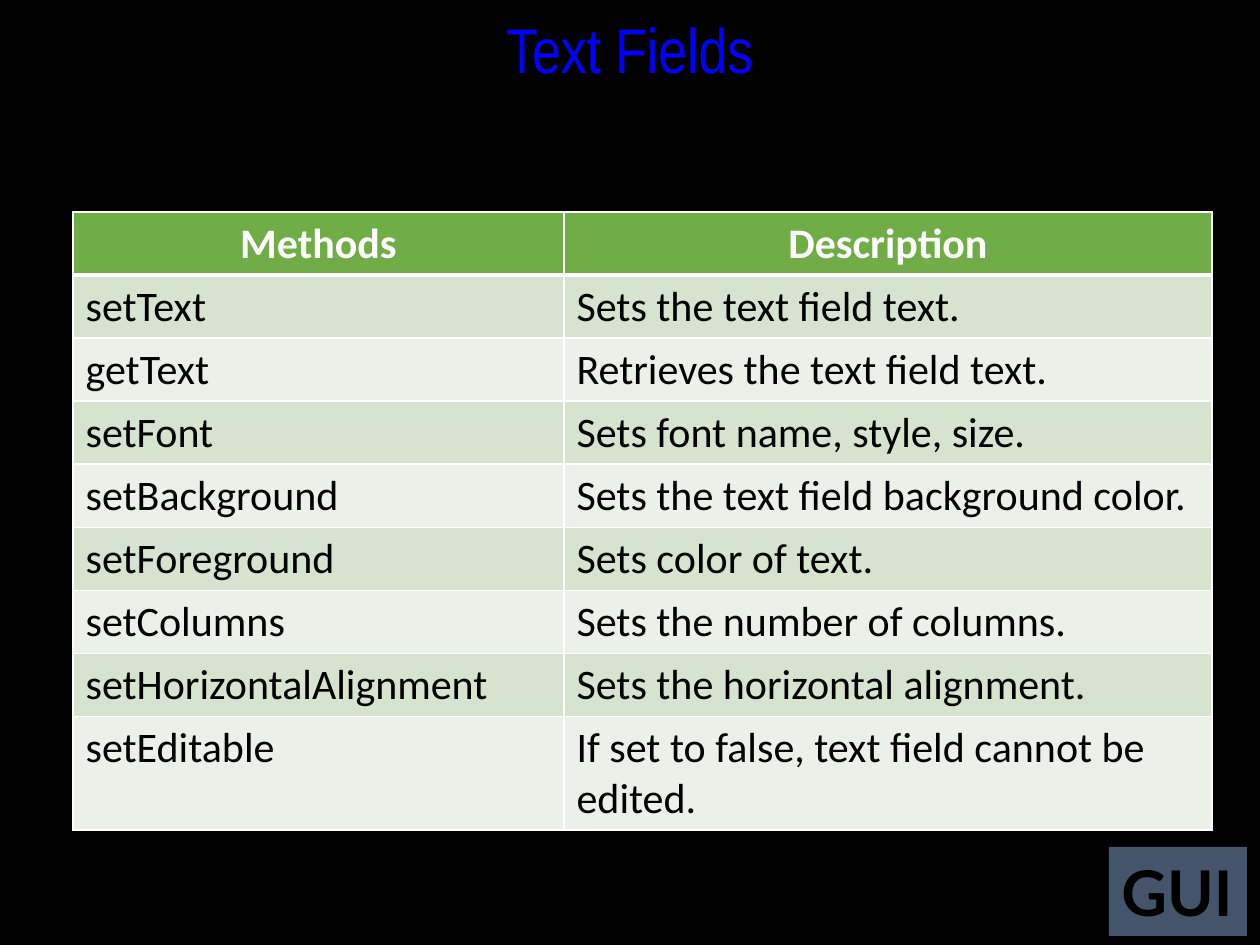
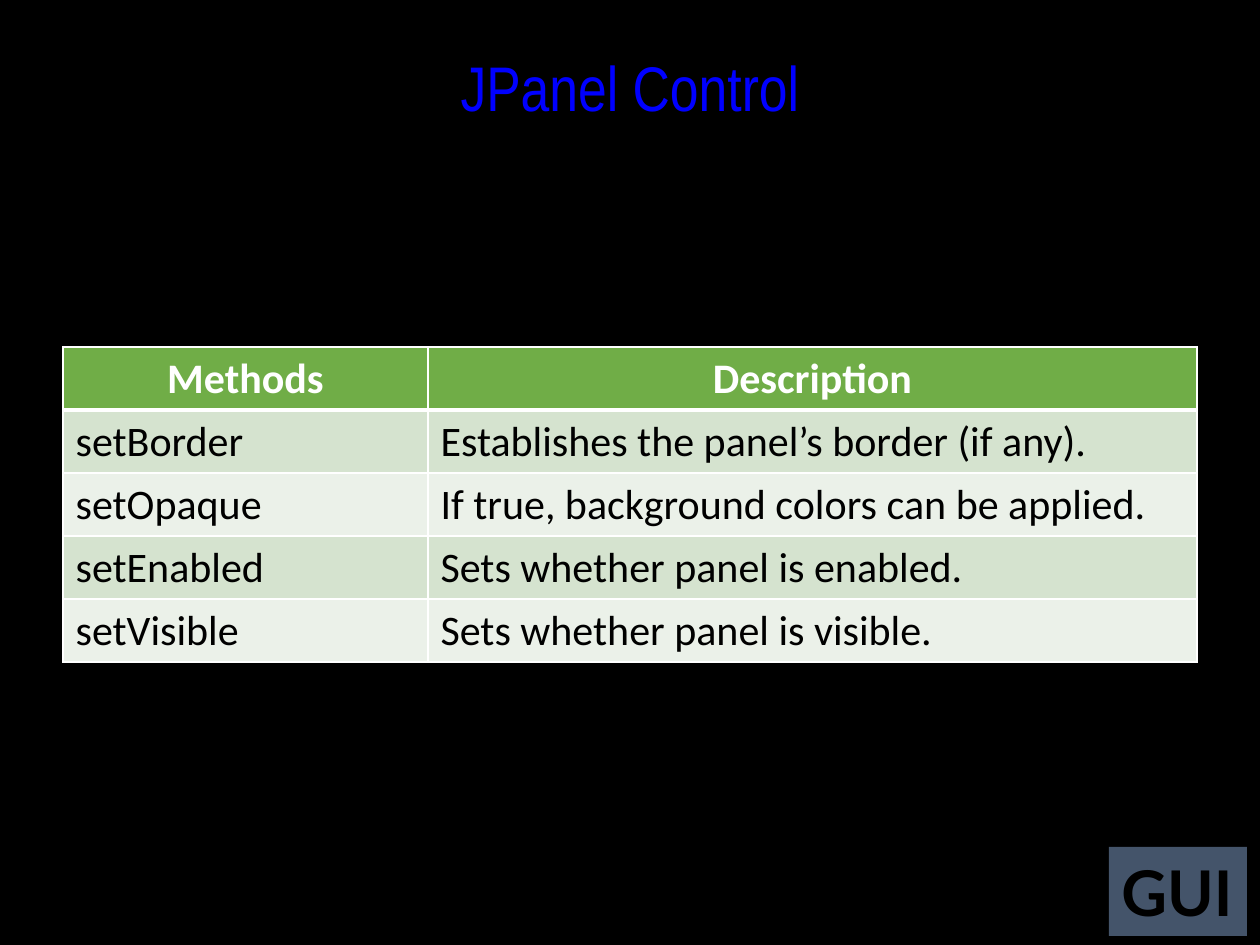
from lxml.etree import SubElement
from pptx import Presentation
from pptx.dml.color import RGBColor
from pptx.enum.shapes import MSO_SHAPE
from pptx.enum.text import MSO_ANCHOR, PP_ALIGN
from pptx.oxml.ns import qn
from pptx.util import Emu, Pt

COLORS = {
    "background": "000000",
    "badge": "44546A",
    "title": "0000FF",
    "outline": "FFFF00",
    "header": "70AD47",
    "odd": "D5E3CF",
    "even": "EBF1E9",
    "light": "FFFFFF",
    "dark": "000000",
}
EMU_PER_PX = 914400 / 126
ROW_HEIGHT = 63

TEXT_FIELD_METHODS = [
    ("setText", "Sets the text field text."),
    ("getText", "Retrieves the text field text."),
    ("setFont", "Sets font name, style, size."),
    ("setBackground", "Sets the text field background color."),
    ("setForeground", "Sets color of text."),
    ("setColumns", "Sets the number of columns."),
    ("setHorizontalAlignment", "Sets the horizontal alignment."),
    ("setEditable", "If set to false, text field cannot be edited."),
]
PANEL_METHODS = [
    ("setBorder", "Establishes the panel’s border (if any)."),
    ("setOpaque", "If true, background colors can be applied."),
    ("setEnabled", "Sets whether panel is enabled."),
    ("setVisible", "Sets whether panel is visible."),
]


def px(length):
    """Turn pixels into EMU."""
    return Emu(round(length * EMU_PER_PX))


def rgb(name):
    """Look up a named colour."""
    return RGBColor.from_string(COLORS[name])


def add_line(parent, tag, color, points):
    """Append a solid line element to a properties element."""
    line = SubElement(parent, qn(tag), w=str(Pt(points)))
    fill = SubElement(line, qn("a:solidFill"))
    SubElement(fill, qn("a:srgbClr"), val=COLORS[color])
    return line


def write(frame, text, *, font, size, color, bold=False, align=PP_ALIGN.LEFT, outline=None):
    """Write one formatted paragraph into a text frame."""
    para = frame.paragraphs[0]
    para.alignment = align
    span = para.add_run()
    span.text = text
    span.font.name = font
    span.font.size = Pt(size)
    span.font.bold = bold
    span.font.color.rgb = rgb(color)
    if outline:
        properties = span.font.fill and span._r.get_or_add_rPr()
        properties.insert(0, add_line(properties, "a:ln", outline, 0.75))


class MethodDeck:
    """Hold the deck style and the current slide."""

    def __init__(self):
        """Start an empty deck with the shared background."""
        self.deck = Presentation()
        self.deck.slide_width = px(1260)
        self.deck.slide_height = px(945)
        fill = self.deck.slide_master.background.fill
        fill.solid()
        fill.fore_color.rgb = rgb("background")
        self.page = None

    def add_page(self, title, title_top):
        """Start a slide with its badge and title."""
        self.page = self.deck.slides.add_slide(self.deck.slide_layouts[6])
        self.add_badge("GUI")
        self.add_title(title, title_top)

    def add_badge(self, text):
        """Add the corner badge."""
        box = self.page.shapes.add_shape(
            MSO_SHAPE.RECTANGLE, px(1109), px(847), px(138), px(89)
        )
        box.shadow.inherit = False
        box.fill.solid()
        box.fill.fore_color.rgb = rgb("badge")
        box.line.fill.background()
        box.text_frame.word_wrap = False
        box.text_frame.vertical_anchor = MSO_ANCHOR.TOP
        write(box.text_frame, text, font="Lato", size=36, color="dark", bold=True)

    def add_title(self, text, top):
        """Add the centred slide title."""
        box = self.page.shapes.add_textbox(px(126), px(top), px(1008), px(179))
        box.text_frame.word_wrap = False
        write(box.text_frame, text, font="Arial Narrow", size=36, color="title",
              align=PP_ALIGN.CENTER, outline="outline")

    def add_methods(self, methods, left, top, widths, height):
        """Add a table of methods whose last row takes the remaining height."""
        rows = [("Methods", "Description"), *methods]
        table = self.page.shapes.add_table(
            len(rows), len(widths), px(left), px(top), px(sum(widths)), px(height)
        ).table
        for column, width in zip(table.columns, widths):
            column.width = px(width)
        for row in table.rows:
            row.height = px(ROW_HEIGHT)
        table.rows[len(rows) - 1].height = px(height - ROW_HEIGHT * len(methods))
        for row_index, texts in enumerate(rows):
            for column_index, text in enumerate(texts):
                self.fill_cell(table.cell(row_index, column_index), text, row_index)

    def fill_cell(self, cell, text, row_index):
        """Format one cell as header or banded body."""
        is_header = row_index == 0
        write(cell.text_frame, text, font="Calibri", size=24, bold=is_header,
              color="light" if is_header else "dark",
              align=PP_ALIGN.CENTER if is_header else PP_ALIGN.LEFT)
        properties = cell._tc.get_or_add_tcPr()
        top = 3 if row_index == 1 else 1
        bottom = 3 if is_header else 1
        for side, points in zip("LRTB", (1, 1, top, bottom)):
            add_line(properties, f"a:ln{side}", "light", points)
        cell.fill.solid()
        band = "odd" if row_index % 2 else "even"
        cell.fill.fore_color.rgb = rgb("header" if is_header else band)


def main():
    """Build both slides and save the deck."""
    slides = MethodDeck()
    slides.add_page("Text Fields", 4)
    slides.add_methods(TEXT_FIELD_METHODS, 73, 212, (491, 648), 617)
    slides.add_page("JPanel Control", 42)
    slides.add_methods(PANEL_METHODS, 63, 347, (365, 769), 315)
    slides.deck.save("out.pptx")


if __name__ == "__main__":
    main()
